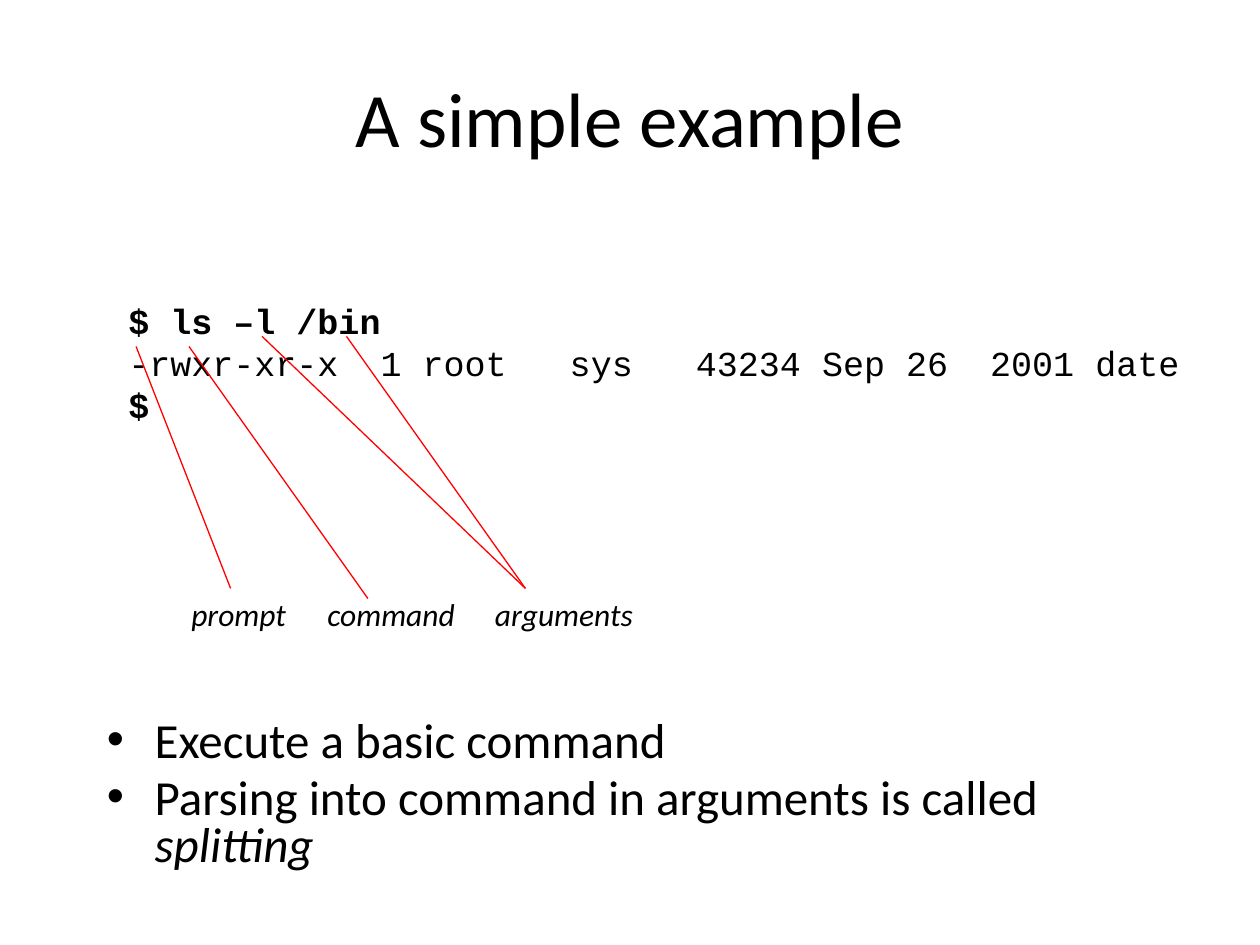
from lxml import etree
from pptx import Presentation
from pptx.dml.color import RGBColor
from pptx.enum.shapes import MSO_CONNECTOR
from pptx.enum.text import MSO_ANCHOR, PP_ALIGN
from pptx.oxml.ns import qn
from pptx.util import Inches, Pt

STRAIGHT = MSO_CONNECTOR.STRAIGHT
CENTER, LEFT = PP_ALIGN.CENTER, PP_ALIGN.LEFT
MIDDLE, TOP = MSO_ANCHOR.MIDDLE, MSO_ANCHOR.TOP
BLACK, RED = "000000", "FF0000"

# Content: each paragraph is a list of (text, extra font values)
TITLE = [[("A simple example", {})]]
TERMINAL = [[
    ("$ ls –l /bin\n", {"bold": True}),
    ("-rwxr-xr-x  1 root   sys   43234 Sep 26  2001 date\n", {}),
    ("$", {"bold": True}),
]]
POINTS = [
    [("Execute a basic command", {})],
    [("Parsing into command in arguments is called ", {}),
     ("splitting", {"italic": True})],
]
# Label, left, width, pointer end, pointer starts in the command line
LABELS = [
    ("prompt", 1.42, 1.25, (1.83, 4.67), [(1.08, 2.75)]),
    ("command", 2.5, 1.25, (2.92, 4.75), [(1.5, 2.75)]),
    ("arguments", 3.83, 1.5, (4.17, 4.67), [(2.08, 2.67), (2.75, 2.67)]),
]
LABEL_TOP, LABEL_HEIGHT = 4.67, 0.4

# Formats
TITLE_FONT = {"name": "Calibri", "size": Pt(44)}
CODE_FONT = {"name": "Courier New", "size": Pt(20)}
POINT_FONT = {"name": "Calibri", "size": Pt(28)}
LABEL_FONT = {"name": "Calibri", "size": Pt(18), "italic": True}
POINT_SPACING = {"line_spacing": 0.8, "space_before": Pt(5.6)}


def color(value):
    return RGBColor.from_string(value)


def apply(target, values):
    for name, value in values.items():
        setattr(target, name, value)


def add_text(page, place, paragraphs, font, align=LEFT, anchor=TOP, spacing=None):
    box = page.shapes.add_textbox(*map(Inches, place))
    frame = box.text_frame
    apply(frame, {"word_wrap": True, "vertical_anchor": anchor})
    for index, spans in enumerate(paragraphs):
        para = frame.add_paragraph() if index else frame.paragraphs[0]
        apply(para, {"alignment": align, **(spacing or {})})
        for text, extra in spans:
            span = para.add_run()
            span.text = text.rstrip("\n")
            apply(span.font, {**font, **extra})
            span.font.color.rgb = color(BLACK)
            if text.endswith("\n"):
                para.add_line_break()
    return box


def add_bullets(box, indent):
    for para in box.text_frame.paragraphs:
        props = para._p.get_or_add_pPr()
        props.set("marL", str(Inches(indent)))
        props.set("indent", str(-Inches(indent)))
        etree.SubElement(props, qn("a:buFont"), typeface="Arial")
        etree.SubElement(props, qn("a:buChar"), char="•")


def add_pointer(page, start, end):
    line = page.shapes.add_connector(STRAIGHT, *map(Inches, start + end))
    line.line.color.rgb = color(RED)
    line.line.width = Pt(0.75)
    etree.SubElement(line._element.spPr, qn("a:effectLst"))


def main():
    deck = Presentation()
    deck.slide_width, deck.slide_height = Inches(10), Inches(7.5)
    page = deck.slides.add_slide(deck.slide_layouts[6])

    # Title and bullet points
    add_text(page, (0.5, 0.3, 9, 1.25), TITLE, TITLE_FONT, CENTER, MIDDLE)
    points = add_text(page, (0.75, 5.67, 8.5, 1.42), POINTS, POINT_FONT,
                      spacing=POINT_SPACING)
    add_bullets(points, 0.38)

    # Terminal session
    add_text(page, (0.92, 2.33, 8.67, 1.1), TERMINAL, CODE_FONT)

    # Labels with pointers to the parts of the command line
    for label, left, width, end, starts in LABELS:
        add_text(page, (left, LABEL_TOP, width, LABEL_HEIGHT),
                 [[(label, {})]], LABEL_FONT)
        for start in starts:
            add_pointer(page, start, end)

    deck.save("out.pptx")


if __name__ == "__main__":
    main()
